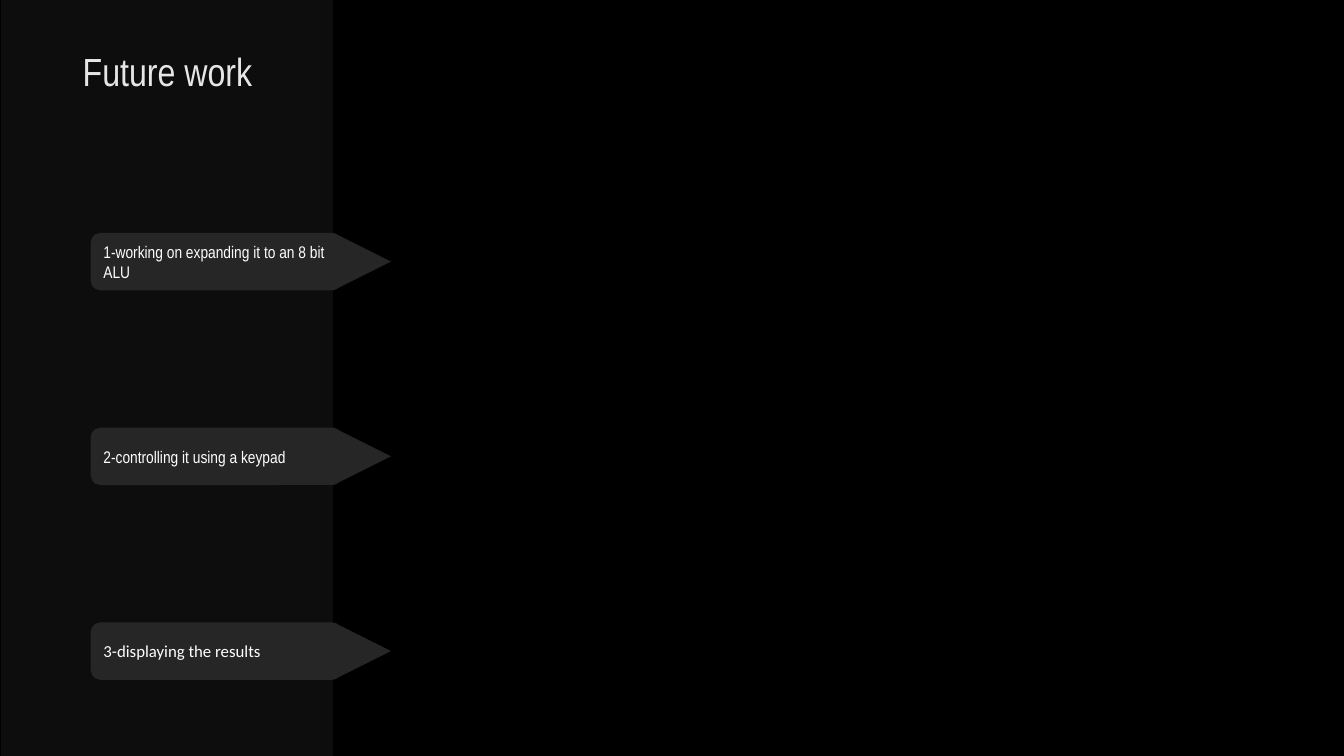
from pptx import Presentation
from pptx.dml.color import RGBColor
from pptx.enum.shapes import MSO_SHAPE as Shape
from pptx.enum.text import MSO_ANCHOR as Anchor, MSO_AUTO_SIZE as AutoSize, PP_ALIGN as Align
from pptx.util import Pt

COLORS = {
    "background": "000000",
    "panel": "0D0D0D",
    "tag": "262626",
    "title": "E7E6E6",
    "text": "FFFFFF",
}
NARROW = "Arial Narrow"

TAG_LEFT, TAG_TOP = 64.8, 166.4
TAG_WIDTH, TAG_HEIGHT = 179.3, 41
TAG_PITCH = 139.1
TIP_LEFT = 238.3

PLANS = [
    ("1-working on expanding it to an 8 bit ALU", NARROW),
    ("2-controlling it using a keypad", NARROW),
    ("3-displaying the results", "Calibri"),
]


def color(name):
    return RGBColor.from_string(COLORS[name])


class SlideBuilder:
    def __init__(self, slide):
        self.slide = slide
        backdrop = slide.background.fill
        backdrop.solid()
        backdrop.fore_color.rgb = color("background")

    def block(self, kind, left, top, width, height, fill):
        block = self.slide.shapes.add_shape(kind, Pt(left), Pt(top), Pt(width), Pt(height))
        block.shadow.inherit = False
        block.fill.solid()
        block.fill.fore_color.rgb = color(fill)
        block.line.fill.background()
        return block

    def add_text(self, frame, text, size, font, ink, align, anchor):
        frame.word_wrap = True
        frame.vertical_anchor = anchor
        paragraph = frame.paragraphs[0]
        paragraph.alignment = align
        run = paragraph.add_run()
        run.text = text
        run.font.size = Pt(size)
        run.font.name = font
        run.font.color.rgb = color(ink)

    def title(self, text, left, top, width, height, panel):
        """Place the title directly above the panel in the stacking order."""
        title = self.slide.shapes.title
        title.left, title.top = Pt(left), Pt(top)
        title.width, title.height = Pt(width), Pt(height)
        self.add_text(title.text_frame, text, 28, NARROW, "title", Align.CENTER, Anchor.TOP)
        title.text_frame.auto_size = AutoSize.SHAPE_TO_FIT_TEXT
        panel.element.addnext(title.element)

    def arrow_tag(self, text, font, top):
        """Draw a rounded label with a triangular tip pointing right."""
        label = self.block(Shape.ROUNDED_RECTANGLE, TAG_LEFT, top, TAG_WIDTH, TAG_HEIGHT, "tag")
        self.add_text(label.text_frame, text, 12, font, "text", Align.LEFT, Anchor.MIDDLE)
        tip = self.block(Shape.ISOSCELES_TRIANGLE, TIP_LEFT, top, TAG_HEIGHT, TAG_HEIGHT, "tag")
        tip.rotation = 90


def main():
    deck = Presentation()
    deck.slide_width, deck.slide_height = Pt(960), Pt(540)
    title_only = deck.slide_layouts[5]
    builder = SlideBuilder(deck.slides.add_slide(title_only))

    panel = builder.block(Shape.RECTANGLE, 0.7, 0, 237, 540, "panel")
    builder.title("Future work", 39.6, 30.2, 160, 41, panel)
    for row, (plan, font) in enumerate(PLANS):
        builder.arrow_tag(plan, font, TAG_TOP + row * TAG_PITCH)

    deck.save("out.pptx")


if __name__ == "__main__":
    main()
